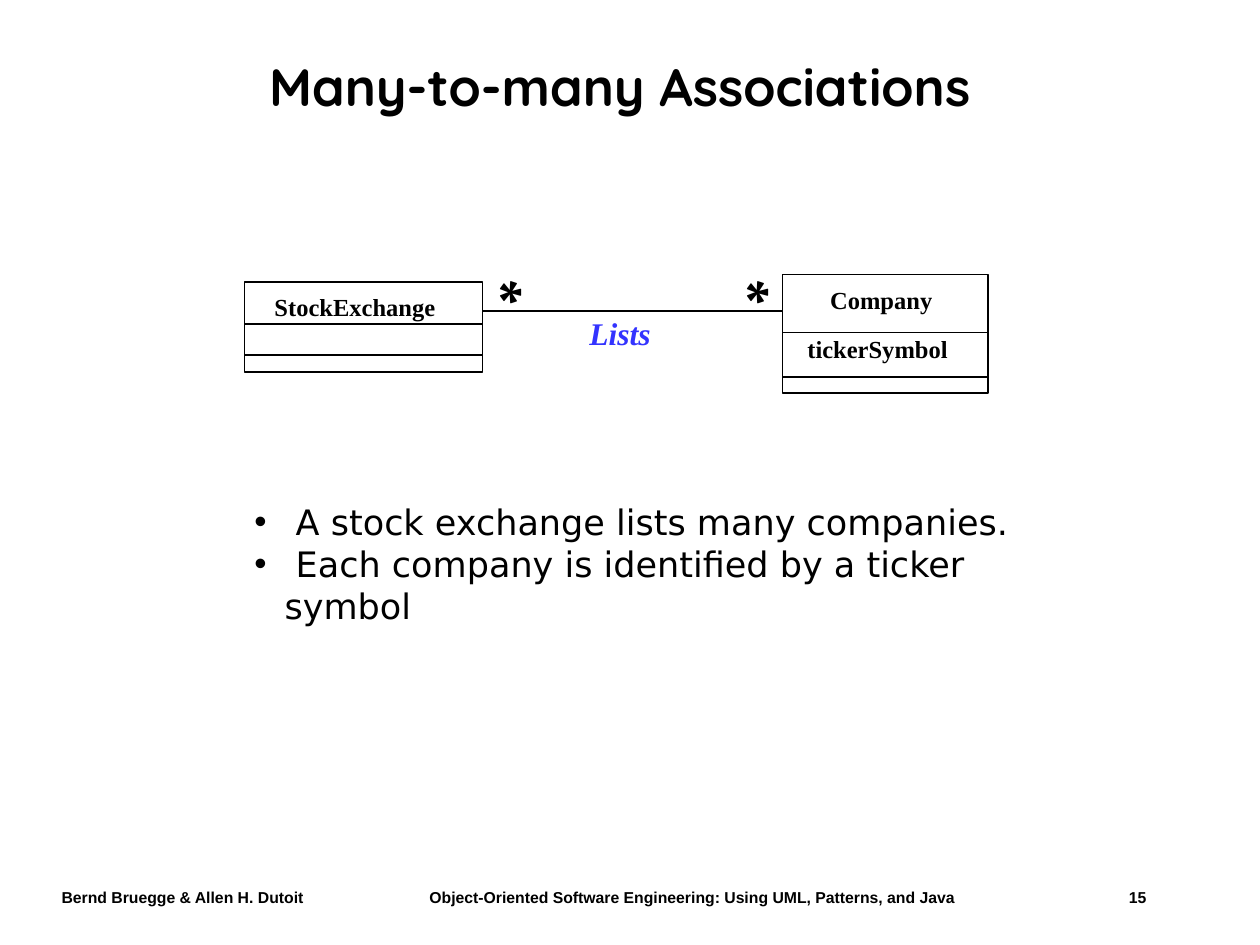
import pptx
import pptx.util
import pptx.dml.color
import pptx.enum.shapes
import pptx.enum.text
import pptx.oxml.ns
import lxml.etree

# Content: places are columns and rows of a 100 by 75 grid over the slide
WIDTH, HEIGHT = 10, 7.5
COLUMNS, ROWS = 100, 75
COLORS = {"ink": "000000", "name": "3333FF"}
SERIF = "Times New Roman"

TITLE = "Many-to-many Associations"
FOOTER = "\t".join([
    "Bernd Bruegge & Allen H. Dutoit",
    "Object-Oriented Software Engineering: Using UML, Patterns, and Java",
    "15",
])
FOOTER_TABS = [(29.2, "l"), (86.1, "r")]
BULLETS = [
    " A stock exchange lists many companies.",
    " Each company is identified by a ticker symbol",
]
CLASSES = [
    {"frame": (19.4, 22.4, 18.9, 7.1), "dividers": (25.7, 28.2),
     "labels": [("StockExchange", (20.8, 23.1, 15.2, 2.8))]},
    {"frame": (62.1, 21.8, 16.3, 9.4), "dividers": (26.4, 29.9),
     "labels": [("Company", (64.9, 22.6, 10.6, 2.8)),
                ("tickerSymbol", (63.1, 26.5, 14, 2.8))]},
]
ASSOCIATION = {"name": "Lists", "place": (45.8, 25, 7.5, 3.4), "row": 24.7}
MANY = {"sign": "*", "columns": (38.6, 58.2), "row": 21.5, "size": (4.1, 5.5)}

deck = pptx.Presentation()
deck.slide_width = pptx.util.Inches(WIDTH)
deck.slide_height = pptx.util.Inches(HEIGHT)
page = deck.slides.add_slide(deck.slide_layouts[6])


def across(columns):
    return round(deck.slide_width * columns / COLUMNS)


def down(rows):
    return round(deck.slide_height * rows / ROWS)


def place_of(left, top, width, height):
    return across(left), down(top), across(width), down(height)


def color_of(name):
    return pptx.dml.color.RGBColor.from_string(COLORS[name])


def add_tabs(para, tabs):
    tab_list = lxml.etree.SubElement(para._p.get_or_add_pPr(), pptx.oxml.ns.qn("a:tabLst"))
    for column, side in tabs:
        lxml.etree.SubElement(tab_list, pptx.oxml.ns.qn("a:tab"),
                              pos=str(across(column)), algn=side)


def add_bullet(para, indent=2.4):
    properties = para._p.get_or_add_pPr()
    properties.set("marL", str(across(indent)))
    properties.set("indent", str(-across(indent)))
    lxml.etree.SubElement(properties, pptx.oxml.ns.qn("a:buFont"), typeface="Arial")
    lxml.etree.SubElement(properties, pptx.oxml.ns.qn("a:buChar"), char="•")


def add_text(lines, place, size=14, font=SERIF, color="ink", bold=True, italic=False,
             wrap=False, spacing=None, centered=False, bulleted=False, tabs=()):
    box = page.shapes.add_textbox(*place_of(*place))
    frame = box.text_frame
    frame.word_wrap = wrap
    if centered:
        frame.vertical_anchor = pptx.enum.text.MSO_ANCHOR.MIDDLE
    for index, line in enumerate(lines):
        para = frame.add_paragraph() if index else frame.paragraphs[0]
        if spacing:
            para.line_spacing = spacing
        if centered:
            para.alignment = pptx.enum.text.PP_ALIGN.CENTER
        if bulleted:
            add_bullet(para)
        if tabs:
            add_tabs(para, tabs)
        span = para.add_run()
        span.text = line
        span.font.name = font
        span.font.size = pptx.util.Pt(size)
        span.font.bold = bold
        span.font.italic = italic
        span.font.color.rgb = color_of(color)


def style_line(line):
    line.color.rgb = color_of("ink")
    line.width = pptx.util.Pt(1)


def add_rule(start, end, row):
    rule = page.shapes.add_connector(pptx.enum.shapes.MSO_CONNECTOR.STRAIGHT,
                                     across(start), down(row), across(end), down(row))
    style_line(rule.line)
    lxml.etree.SubElement(rule._element.spPr, pptx.oxml.ns.qn("a:effectLst"))


# Footer and title
add_text([FOOTER], (3.9, 70, 91.7, 2.5), size=9, font="Arial", wrap=True, tabs=FOOTER_TABS)
add_text([TITLE], (4.6, 2.4, 89.2, 9.4), size=30, font="Quicksand",
         wrap=True, spacing=0.9, centered=True)

# Class boxes with their compartments
for entry in CLASSES:
    left, top, width, height = entry["frame"]
    outline = page.shapes.add_shape(pptx.enum.shapes.MSO_SHAPE.RECTANGLE,
                                    *place_of(*entry["frame"]))
    outline.shadow.inherit = False
    outline.fill.background()
    style_line(outline.line)
    for row in entry["dividers"]:
        add_rule(left, left + width, row)
    for label, place in entry["labels"]:
        add_text([label], place, spacing=0.8)

# Association with its name and multiplicities
first, second = (entry["frame"] for entry in CLASSES)
add_rule(first[0] + first[2], second[0], ASSOCIATION["row"])
add_text([ASSOCIATION["name"]], ASSOCIATION["place"], size=18, color="name",
         italic=True, spacing=0.8)
for column in MANY["columns"]:
    add_text([MANY["sign"]], (column, MANY["row"], *MANY["size"]), size=34,
             font="TeX Gyre Pagella", spacing=0.8)

# Explanation
add_text(BULLETS, (19.2, 39.2, 62.8, 7.7), size=20, font="DejaVu Sans",
         bold=False, wrap=True, bulleted=True)

deck.save("out.pptx")
